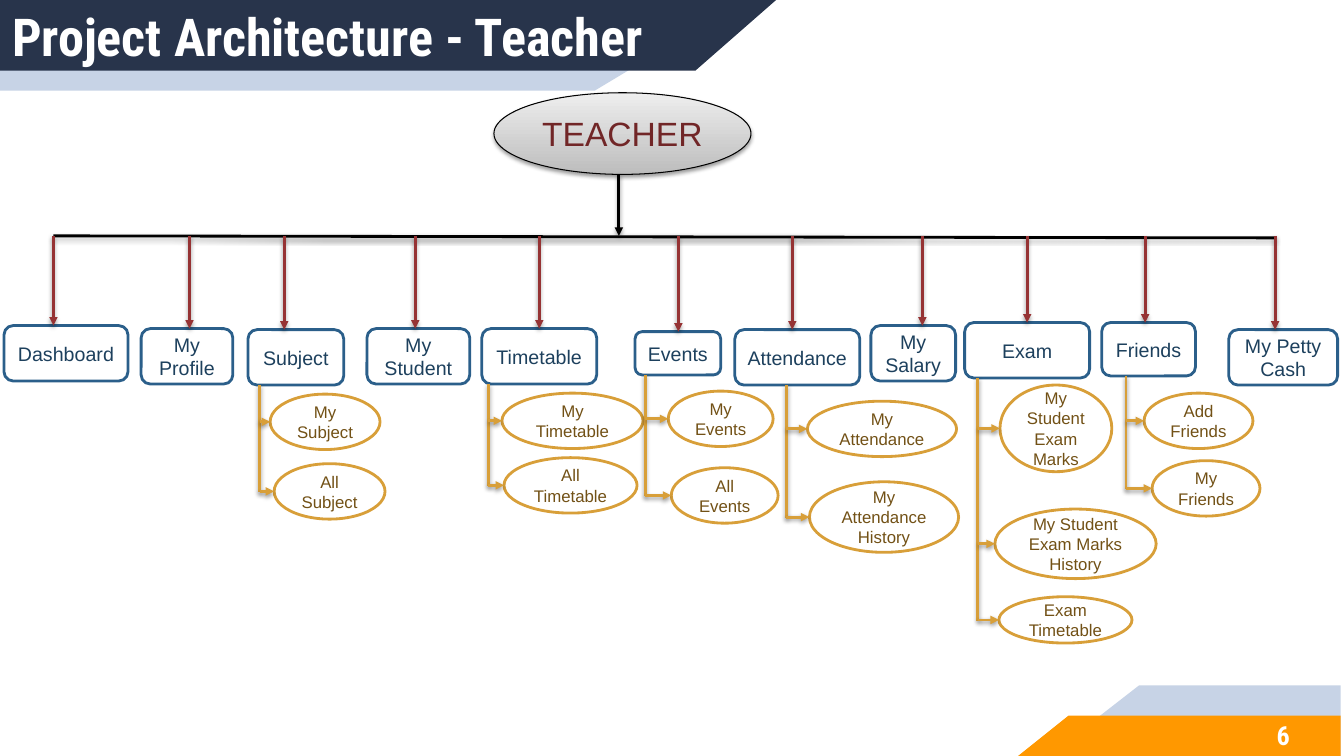
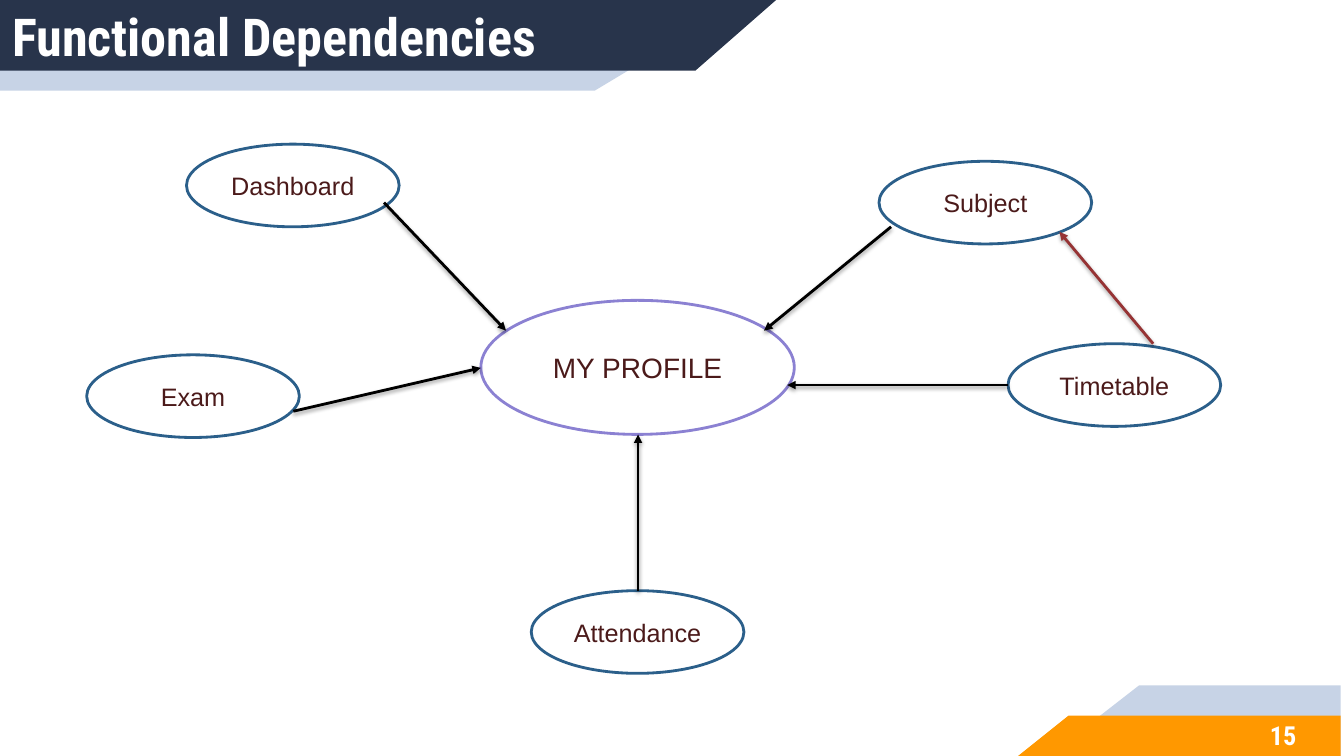
from dataclasses import dataclass
from typing import Any

from pptx import Presentation
from pptx import util as u
from pptx.dml.color import RGBColor
from pptx.enum import shapes, text
from pptx.oxml import parse_xml
from pptx.oxml.ns import nsdecls

CELL = u.Inches(0.1)
COLS, ROWS = 133.33, 75

WHITE = RGBColor(0xFF, 0xFF, 0xFF)
BLACK = RGBColor(0, 0, 0)
NAVY = RGBColor(0x28, 0x34, 0x4B)
PALE = RGBColor(0xC7, 0xD3, 0xE6)
ORANGE = RGBColor(0xFF, 0x98, 0x00)
BLUE = RGBColor(0x2B, 0x5F, 0x8A)
DEEP_BLUE = RGBColor(0x1D, 0x40, 0x5D)
GOLD = RGBColor(0xD8, 0x9F, 0x39)
BROWN = RGBColor(0x72, 0x51, 0x16)
RED = RGBColor(0x96, 0x33, 0x34)
WINE = RGBColor(0x71, 0x26, 0x27)
MAROON = RGBColor(0x4B, 0x1A, 0x1A)
VIOLET = RGBColor(0x8B, 0x81, 0xD2)
GREY_DARK = RGBColor(0xBD, 0xBD, 0xBD)
GREY_LIGHT = RGBColor(0xEE, 0xEE, 0xEE)

OVAL = shapes.MSO_SHAPE.OVAL
ROUNDED = shapes.MSO_SHAPE.ROUNDED_RECTANGLE
CENTER = text.PP_ALIGN.CENTER
LEFT = text.PP_ALIGN.LEFT

HEAD = {"name": "Roboto Condensed", "bold": True}
TITLE = {**HEAD, "size": u.Pt(37.3)}
NUMBER = {**HEAD, "size": u.Pt(18.7)}

ROOT = {"g": OVAL, "line": BLACK, "width": 0.75, "size": 24, "color": WINE}
BRANCH = {"g": ROUNDED, "line": BLUE, "width": 2, "size": 14, "color": DEEP_BLUE}
LEAF = {"g": OVAL, "line": GOLD, "width": 2, "size": 12, "color": BROWN}
HUB = {"g": OVAL, "line": VIOLET, "width": 2, "size": 20, "color": MAROON}
SATELLITE = {"g": OVAL, "line": BLUE, "width": 2, "size": 18, "color": MAROON}

BANDS = [
    (PALE, [(0, 0), (73.6, 0), (59.1, 8.8), (0, 8.8)]),
    (NAVY, [(0, 0), (77, 0), (68.6, 7.1), (0, 7.1)]),
    (PALE, [(113.4, 68.1), (COLS, 68.1), (COLS, ROWS), (103.6, ROWS)]),
    (ORANGE, [(105.7, 70.6), (COLS, 70.6), (COLS, ROWS), (101.3, ROWS)]),
]

BRANCHES = [
    ("Dashboard", (0.4, 23.3, 12.3, 5.5), 5.3, None, []),
    ("My Profile", (14, 23.6, 9.1, 5.5), 18.8, None, []),
    ("Subject", (24.6, 23.7, 9.5, 5.5), 28.2, 25.75, [
        ("My Subject", (26.8, 30.1, 10.9, 5.5)),
        ("All Subject", (27.2, 37, 11, 5.5))]),
    ("My Student", (36.4, 23.6, 10.2, 5.5), 41.2, None, []),
    ("Timetable", (47.8, 23.6, 11.4, 5.5), 53.5, 48.45, [
        ("My Timetable", (49.8, 30, 14, 5.5)),
        ("All Timetable", (50, 36.4, 13.2, 5.5))]),
    ("Events", (63, 23.9, 8.5, 4.3), 67.3, 64, [
        ("My Events", (66.3, 29.8, 10.4, 5.5)),
        ("All Events", (66.6, 37.4, 10.6, 5.5))]),
    ("Attendance", (72.9, 23.7, 12.4, 5.5), 78.6, 78, [
        ("My Attendance", (80.1, 30.8, 14.8, 5.5)),
        ("My Attendance History", (80.3, 38.8, 14.8, 7))]),
    ("My Salary", (86.4, 23.3, 8.4, 5.5), 91.5, None, []),
    ("Exam", (95.7, 23, 12.4, 5.5), 101.9, 97, [
        ("My Student Exam Marks", (99.2, 29.2, 11.1, 8.6)),
        ("My Student Exam Marks History", (98.7, 41.5, 16, 6.9)),
        ("Exam Timetable", (99.1, 50.2, 13.2, 4.6))]),
    ("Friends", (109.3, 23, 9.3, 5.3), 113.6, 111.7, [
        ("Add Friends", (113.5, 30, 10.8, 5.5)),
        ("My Friends", (114.3, 36.7, 10.7, 5.5))]),
    ("My Petty Cash", (121.9, 23.7, 10.8, 5.5), 126.5, None, []),
]

SATELLITES = [
    ("Dashboard", 18.5, 0.3),
    ("Attendance", 52.7, 44.6),
    ("Timetable", 100, 20.1),
    ("Exam", 8.6, 21.2),
    ("Subject", 87.2, 2),
]

DEPENDENCIES = [
    ((38.1, 6.1), (50.2, 18.8), BLACK),
    ((29.1, 26.8), (47.7, 22.5), BLACK),
    ((63.3, 44.6), (63.3, 29.1), BLACK),
    ((88.4, 8.5), (75.8, 18.8), BLACK),
    ((100, 24.2), (78.1, 24.2), BLACK),
    ((114.4, 20.1), (105.1, 9), RED),
]


def write(tf, words, font, color, align=CENTER):
    tf.word_wrap = True
    tf.vertical_anchor = text.MSO_ANCHOR.MIDDLE
    p = tf.paragraphs[0]
    p.alignment = align
    r = p.add_run()
    r.text = words
    for key, value in font.items():
        setattr(r.font, key, value)
    r.font.color.rgb = color


def set_margins(tf, **inches):
    for side, value in inches.items():
        setattr(tf, "margin_" + side, u.Inches(value))


def cells(*values):
    return [round(v * CELL) for v in values]


def cast_shadow(sp):
    spPr = sp._element.spPr
    for old in spPr.findall("{*}effectLst"):
        spPr.remove(old)
    spPr.append(parse_xml(
        f'<a:effectLst {nsdecls("a")}><a:outerShdw blurRad="{u.Pt(3.1)}" '
        f'dist="{u.Pt(1.6)}" dir="5400000" rotWithShape="0">'
        '<a:srgbClr val="000000"><a:alpha val="38000"/></a:srgbClr>'
        '</a:outerShdw></a:effectLst>'))


@dataclass
class Area:
    s: Any
    x: float
    y: float

    def node(self, words, box, style):
        x, y, w, h = box
        sp = self.s.shapes.add_shape(
            style["g"], *cells(self.x + x, self.y + y, w, h))
        sp.shadow.inherit = False
        sp.fill.solid()
        sp.fill.fore_color.rgb = WHITE
        sp.line.color.rgb = style["line"]
        sp.line.width = u.Pt(style["width"])
        font = {"name": "Arial", "size": u.Pt(style["size"])}
        write(sp.text_frame, words, font, style["color"])
        return sp

    def line(self, start, end, color, arrow=True):
        ends = [v for x, y in (start, end) for v in (self.x + x, self.y + y)]
        c = self.s.shapes.add_connector(
            shapes.MSO_CONNECTOR.STRAIGHT, *cells(*ends))
        c.line.color.rgb = color
        c.line.width = u.Pt(2)
        if arrow:
            c.line._get_or_add_ln().append(
                parse_xml(f'<a:tailEnd {nsdecls("a")} type="triangle"/>'))
        cast_shadow(c)


def decorate_layout(s):
    tree = s.slide_layout.shapes._spTree
    for i, (color, points) in enumerate(BANDS):
        fb = s.shapes.build_freeform(*points[0], scale=CELL)
        fb.add_line_segments(points[1:], close=True)
        sp = fb.convert_to_shape()
        sp.shadow.inherit = False
        sp.fill.solid()
        sp.fill.fore_color.rgb = color
        sp.line.fill.background()
        tree.insert(2 + i, sp._element)


def add_frame(s, title, number):
    sp = s.shapes.title
    sp.left, sp.top, sp.width, sp.height = cells(0, 0.4, 73.6, 6.3)
    set_margins(sp.text_frame, left=0.12, top=0, right=0, bottom=0)
    write(sp.text_frame, title, TITLE, WHITE, LEFT)
    sp = s.shapes.add_textbox(*cells(122.9, 70.7, 8.8, 4.5))
    set_margins(sp.text_frame, left=0.1, top=0.1, right=0.1, bottom=0.1)
    write(sp.text_frame, number, NUMBER, WHITE)


def add_leaves(area, trunk, top, leaves):
    for words, box in leaves:
        area.node(words, box, LEAF)
    mids = [y + h / 2 for _, (x, y, w, h) in leaves]
    area.line((trunk, top), (trunk, mids[-1] + 0.1), GOLD, arrow=False)
    for mid, (_, box) in zip(mids, leaves):
        area.line((trunk, mid), (box[0], mid), GOLD)


def add_tree(area):
    bus = 14.4
    root = area.node("TEACHER", (49, 0.2, 25.5, 8.1), ROOT)
    root.fill.gradient()
    root.fill.gradient_angle = 90
    for stop, color in zip(root.fill.gradient_stops, (GREY_DARK, GREY_LIGHT)):
        stop.color.rgb = color
    cast_shadow(root)
    area.line((61.4, 8.3), (61.4, bus), BLACK)
    for words, box, *_ in BRANCHES:
        area.node(words, box, BRANCH)
    area.line((BRANCHES[0][2], bus), (BRANCHES[-1][2], bus + 0.2), BLACK, arrow=False)
    for _, (x, y, w, h), drop, trunk, leaves in BRANCHES:
        area.line((drop, bus), (drop, y), RED)
        if leaves:
            add_leaves(area, trunk, y + h, leaves)


def add_dependencies(area):
    area.node("MY PROFILE", (47.7, 15.8, 31.1, 13.3), HUB)
    for words, x, y in SATELLITES:
        area.node(words, (x, y, 21.1, 8.2), SATELLITE)
    for start, end, color in DEPENDENCIES:
        area.line(start, end, color)


def main():
    prs = Presentation()
    prs.slide_width, prs.slide_height = cells(COLS, ROWS)
    pages = [
        ("Project Architecture - Teacher", "6", add_tree, 9),
        ("Functional Dependencies", "15", add_dependencies, 14),
    ]
    for i, (title, number, draw, top) in enumerate(pages):
        s = prs.slides.add_slide(prs.slide_layouts[5])
        if i == 0:
            decorate_layout(s)
        add_frame(s, title, number)
        draw(Area(s, 0, top))
    prs.save("out.pptx")


if __name__ == "__main__":
    main()
